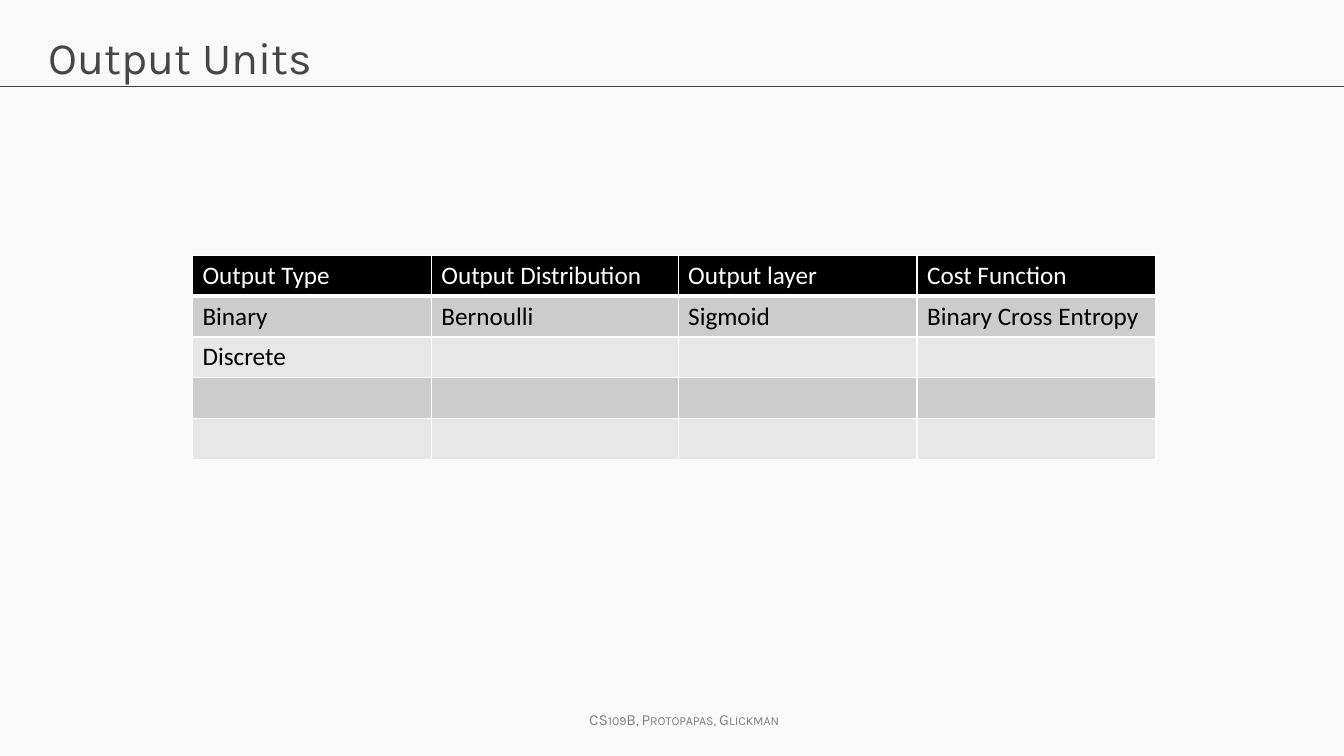
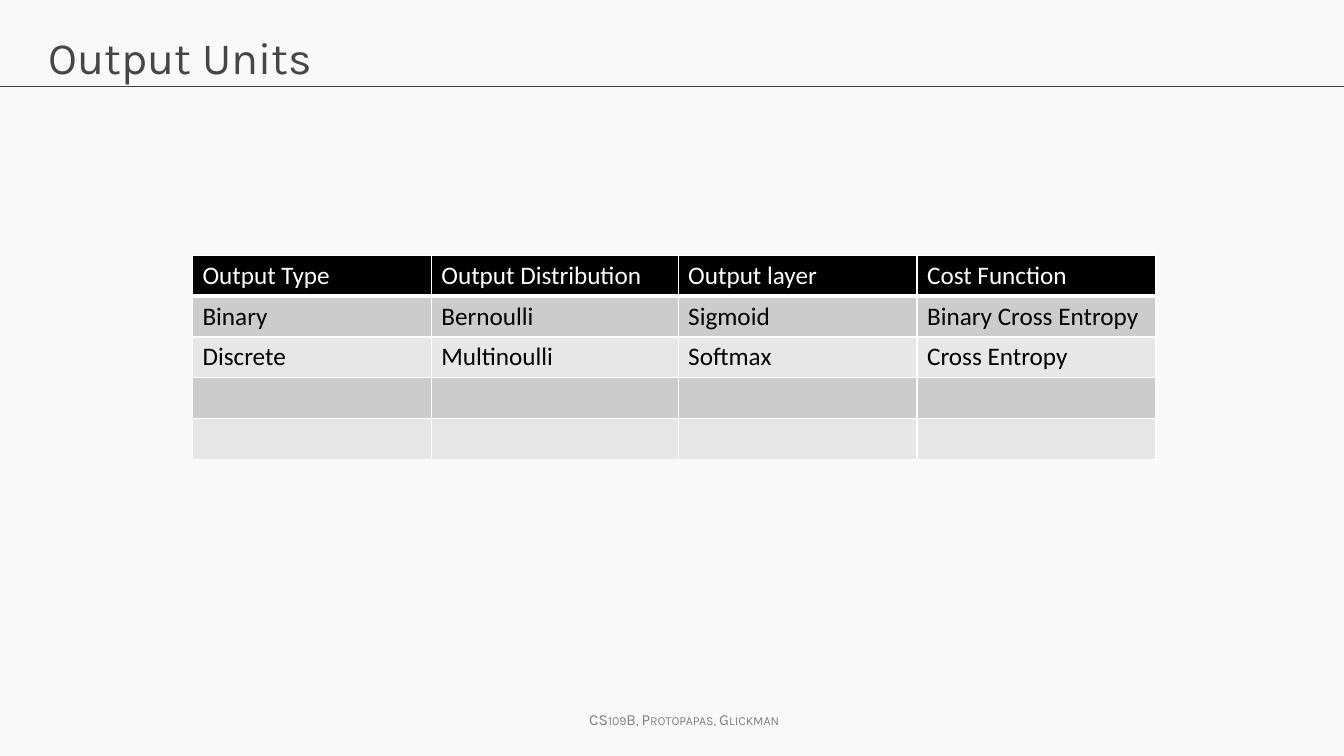
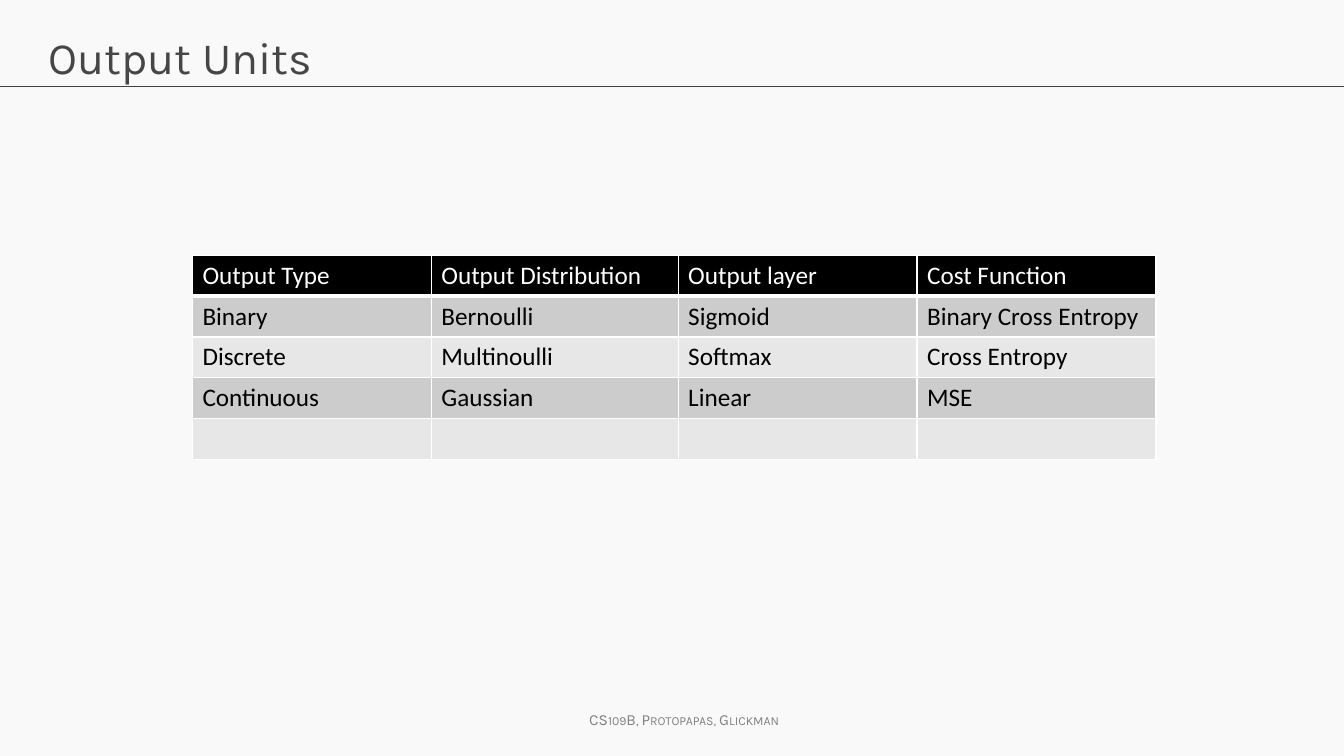
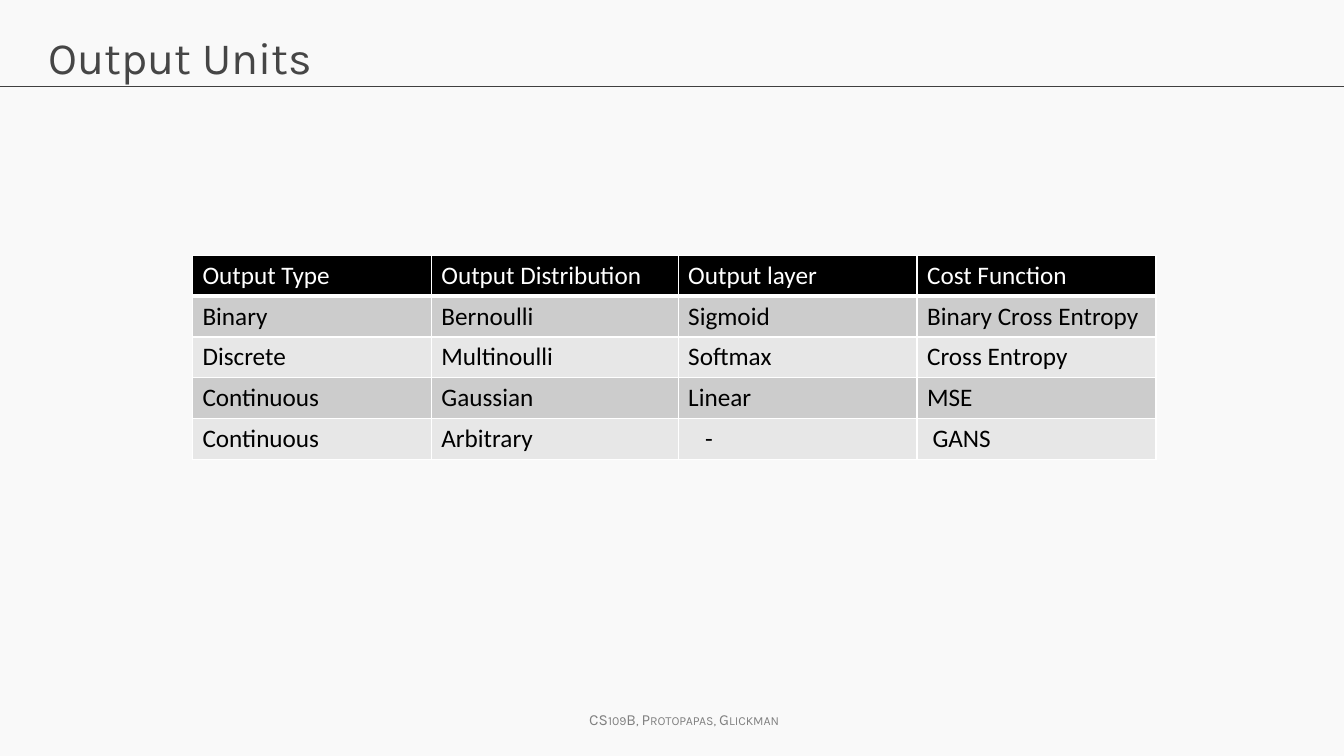
import dataclasses

import lxml.etree
import pptx
import pptx.dml.color
import pptx.enum.shapes
import pptx.enum.text
import pptx.oxml.ns
import pptx.util

Cm = pptx.util.Cm
Pt = pptx.util.Pt


@dataclasses.dataclass(frozen=True)
class Theme:
    background: str = "F9F9F9"
    title: str = "464646"
    rule: str = "404040"
    footer: str = "808080"
    header_fill: str = "000000"
    header_text: str = "FFFFFF"
    body_text: str = "000000"
    bands: tuple = ("CCCCCC", "E7E7E7")
    border: str = "FFFFFF"
    heading_font: str = "Karla"
    table_font: str = "Calibri"
    title_size: int = 32
    table_size: int = 18
    footer_size: int = 11


# Content
HEADER = ("Output Type", "Output Distribution", "Output layer", "Cost Function")
OUTPUT_UNITS = (
    ("Binary", "Bernoulli", "Sigmoid", "Binary Cross Entropy"),
    ("Discrete", "Multinoulli", "Softmax", "Cross Entropy"),
    ("Continuous", "Gaussian", "Linear", "MSE"),
    ("Continuous", "Arbitrary", "-", "GANS"),
)
REVEALED_CELLS = (5, 8, 12, 16)  # body cells shown on each slide, in reading order
EXTRA_INDENTS = {"-": 0.43, "GANS": 0.14}
COLUMN_WIDTHS = (6.02, 6.22, 6.02, 6.02)
ROW_HEIGHT = 1.03
SLIDE_WIDTH, SLIDE_HEIGHT = 33.87, 19.05


def rgb(colour):
    return pptx.dml.color.RGBColor.from_string(colour)


class Deck:
    def __init__(self, theme):
        self.theme = theme
        self.slide = None
        self.presentation = pptx.Presentation()
        self.presentation.slide_width = Cm(SLIDE_WIDTH)
        self.presentation.slide_height = Cm(SLIDE_HEIGHT)
        fill = self.presentation.slide_master.background.fill
        fill.solid()
        fill.fore_color.rgb = rgb(theme.background)

    def style(self, paragraph, name, size, colour):
        """Format a paragraph's runs, or its end mark when it is empty."""
        for font in [run.font for run in paragraph.runs] or [paragraph.font]:
            font.name = name
            font.size = Pt(size)
            font.color.rgb = rgb(colour)

    def add_slide(self, title):
        self.slide = self.presentation.slides.add_slide(
            self.presentation.slide_layouts[5])
        self.add_rule()
        self.add_footer("CS109B, Protopapas, Glickman")
        self.add_title(title)

    def add_title(self, text):
        shape = self.slide.shapes.title
        shape.left, shape.top = Cm(0.97), Cm(0.61)
        shape.width, shape.height = Cm(31.93), Cm(2.13)
        frame = shape.text_frame
        frame.text = text
        frame.auto_size = pptx.enum.text.MSO_AUTO_SIZE.NONE
        frame.vertical_anchor = pptx.enum.text.MSO_ANCHOR.TOP
        paragraph = frame.paragraphs[0]
        paragraph.alignment = pptx.enum.text.PP_ALIGN.LEFT
        self.style(paragraph, self.theme.heading_font, self.theme.title_size,
                   self.theme.title)

    def add_rule(self):
        rule = self.slide.shapes.add_connector(
            pptx.enum.shapes.MSO_CONNECTOR.STRAIGHT,
            0, Cm(2.19), Cm(SLIDE_WIDTH), Cm(2.19))
        rule.line.color.rgb = rgb(self.theme.rule)
        rule.line.width = Pt(0.75)
        lxml.etree.SubElement(rule._element.spPr, pptx.oxml.ns.qn("a:effectLst"))

    def add_footer(self, text):
        box = self.slide.shapes.add_textbox(Cm(14.6), Cm(17.78), Cm(5.56), Cm(0.73))
        frame = box.text_frame
        frame.text = text
        frame.word_wrap = False
        frame.auto_size = pptx.enum.text.MSO_AUTO_SIZE.SHAPE_TO_FIT_TEXT
        paragraph = frame.paragraphs[0]
        self.style(paragraph, self.theme.heading_font, self.theme.footer_size,
                   self.theme.footer)
        paragraph.runs[0]._r.get_or_add_rPr().set("cap", "small")

    def add_table(self, rows):
        table = self.slide.shapes.add_table(
            len(rows), len(COLUMN_WIDTHS), Cm(4.85), Cm(6.43),
            Cm(sum(COLUMN_WIDTHS)), Cm(ROW_HEIGHT * len(rows))).table
        table.first_row = table.horz_banding = False
        for column, width in zip(table.columns, COLUMN_WIDTHS):
            column.width = Cm(width)
        for row_index, texts in enumerate(rows):
            table.rows[row_index].height = Cm(ROW_HEIGHT)
            for column_index, text in enumerate(texts):
                self.fill_cell(table.cell(row_index, column_index), text, row_index)

    def fill_cell(self, cell, text, row_index):
        theme = self.theme
        is_header = row_index == 0
        cell.text = text
        if text in EXTRA_INDENTS:
            cell.margin_left = Cm(0.25 + EXTRA_INDENTS[text])
        self.style(cell.text_frame.paragraphs[0], theme.table_font, theme.table_size,
                   theme.header_text if is_header else theme.body_text)
        self.add_borders(cell, bottom_width=3 if is_header else 1)
        cell.fill.solid()
        cell.fill.fore_color.rgb = rgb(
            theme.header_fill if is_header else theme.bands[(row_index - 1) % 2])

    def add_borders(self, cell, bottom_width):
        qn = pptx.oxml.ns.qn
        properties = cell._tc.get_or_add_tcPr()
        for side, width in (("L", 1), ("R", 1), ("T", 1), ("B", bottom_width)):
            line = lxml.etree.SubElement(properties, qn("a:ln" + side), w=str(Pt(width)))
            fill = lxml.etree.SubElement(line, qn("a:solidFill"))
            lxml.etree.SubElement(fill, qn("a:srgbClr"), val=self.theme.border)


def revealed_rows(count):
    """Return the body rows with only the first cells filled in."""
    columns = len(HEADER)
    return [[text if row_index * columns + column_index < count else ""
             for column_index, text in enumerate(row)]
            for row_index, row in enumerate(OUTPUT_UNITS)]


def main():
    deck = Deck(Theme())
    for count in REVEALED_CELLS:
        deck.add_slide("Output Units")
        deck.add_table([HEADER, *revealed_rows(count)])
    deck.presentation.save("out.pptx")


if __name__ == "__main__":
    main()
